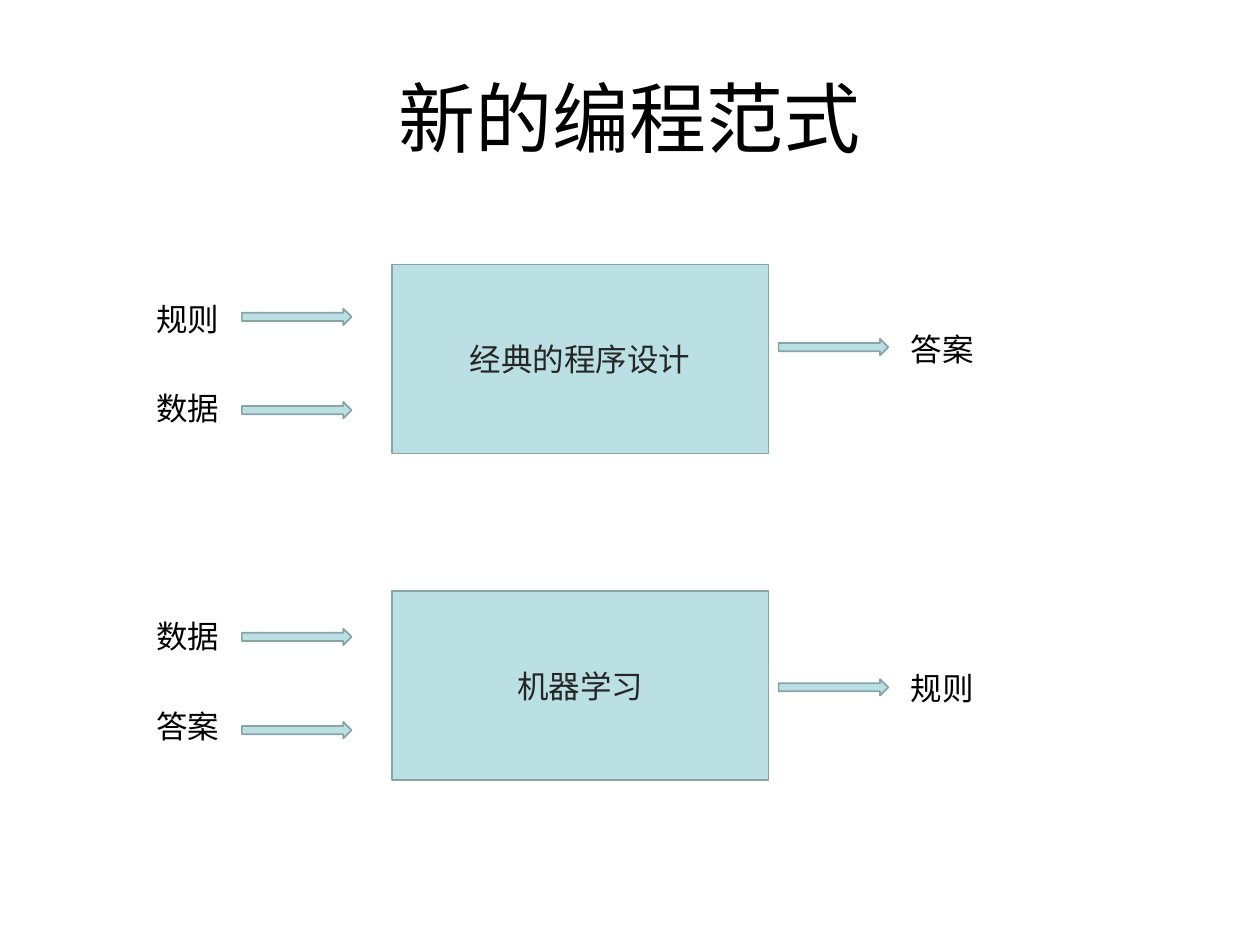
import pptx
from pptx.dml.color import RGBColor
from pptx.enum.shapes import MSO_SHAPE
from pptx.enum.text import MSO_ANCHOR, MSO_AUTO_SIZE, PP_ALIGN
from pptx.util import Inches, Pt

TITLE = "新的编程范式"
# Tops are in inches; the second input follows the first at a fixed step.
PARADIGMS = [
    {"name": "经典的程序设计", "top": 2.1, "inputs": ["规则", "数据"],
     "label_top": 2.33, "arrow_top": 2.45,
     "output": "答案", "output_top": 2.57, "output_arrow_top": 2.69},
    {"name": "机器学习", "top": 4.69, "inputs": ["数据", "答案"],
     "label_top": 4.85, "arrow_top": 4.99,
     "output": "规则", "output_top": 5.26, "output_arrow_top": 5.39},
]
LABEL_STEP, ARROW_STEP = 0.71, 0.74
INPUT_LEFT, INPUT_ARROW_LEFT = 1.14, 1.92
BOX_LEFT, BOX_WIDTH, BOX_HEIGHT = 3.11, 2.99, 1.5
OUTPUT_ARROW_LEFT, OUTPUT_LEFT = 6.18, 7.13
FILL, OUTLINE, BLACK, DARK = "BBE0E3", "89A4A7", "000000", "262626"


def color(value):
    return RGBColor.from_string(value)


def write(shape, text, size=18, fill=BLACK, align=PP_ALIGN.LEFT,
          anchor=MSO_ANCHOR.TOP, wrap=True):
    frame = shape.text_frame
    frame.word_wrap = wrap
    frame.vertical_anchor = anchor
    para = frame.paragraphs[0]
    para.alignment = align
    span = para.add_run()
    span.text = text
    span.font.size = Pt(size)
    span.font.name = "Arial"
    span.font.color.rgb = color(fill)


def add_block(slide, kind, left, top, width, height):
    shape = slide.shapes.add_shape(
        kind, Inches(left), Inches(top), Inches(width), Inches(height))
    shape.shadow.inherit = False
    shape.fill.solid()
    shape.fill.fore_color.rgb = color(FILL)
    shape.line.color.rgb = color(OUTLINE)
    shape.line.width = Pt(1)
    return shape


def add_arrow(slide, left, top):
    add_block(slide, MSO_SHAPE.RIGHT_ARROW, left, top, 0.87, 0.13)


def add_label(slide, text, left, top, width, wrap=True):
    box = slide.shapes.add_textbox(
        Inches(left), Inches(top), Inches(width), Inches(0.4))
    write(box, text, wrap=wrap)
    box.text_frame.auto_size = MSO_AUTO_SIZE.SHAPE_TO_FIT_TEXT


def add_paradigm(slide, item):
    box = add_block(slide, MSO_SHAPE.RECTANGLE, BOX_LEFT, item["top"],
                    BOX_WIDTH, BOX_HEIGHT)
    write(box, item["name"], fill=DARK, align=PP_ALIGN.CENTER,
          anchor=MSO_ANCHOR.MIDDLE)
    for row, text in enumerate(item["inputs"]):
        add_label(slide, text, INPUT_LEFT,
                  item["label_top"] + row * LABEL_STEP, 0.86)
        add_arrow(slide, INPUT_ARROW_LEFT,
                  item["arrow_top"] + row * ARROW_STEP)
    add_arrow(slide, OUTPUT_ARROW_LEFT, item["output_arrow_top"])
    add_label(slide, item["output"], OUTPUT_LEFT, item["output_top"], 0.7,
              wrap=False)


def main():
    deck = pptx.Presentation()
    deck.slide_width, deck.slide_height = Inches(10), Inches(7.5)
    page = deck.slides.add_slide(deck.slide_layouts[5])
    title = page.shapes.title
    title.left, title.top = Inches(0.5), Inches(0.3)
    title.width, title.height = Inches(9), Inches(1.25)
    write(title, TITLE, size=44, align=PP_ALIGN.CENTER,
          anchor=MSO_ANCHOR.MIDDLE)
    for item in PARADIGMS:
        add_paradigm(page, item)
    deck.save("out.pptx")


if __name__ == "__main__":
    main()
